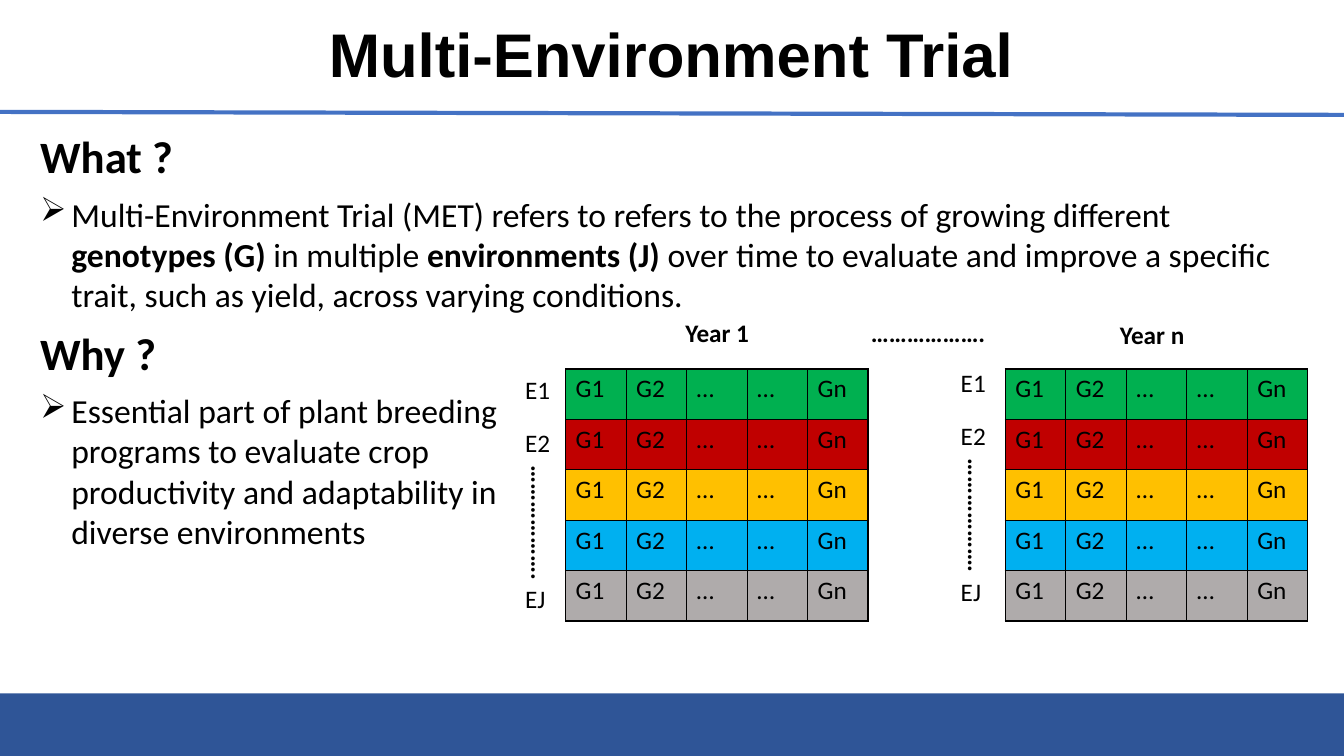
from dataclasses import dataclass

from lxml.etree import SubElement
from pptx import Presentation
from pptx.dml.color import RGBColor
from pptx.enum.shapes import MSO_CONNECTOR, MSO_SHAPE
from pptx.enum.text import MSO_ANCHOR, PP_ALIGN
from pptx.oxml import parse_xml
from pptx.oxml.ns import nsdecls, qn
from pptx.util import Inches, Pt


@dataclass(frozen=True)
class Theme:
    text: RGBColor = RGBColor.from_string("000000")
    footer: RGBColor = RGBColor.from_string("2F5597")
    rule: RGBColor = RGBColor.from_string("4472C4")
    rows: tuple = ("00B050", "C00000", "FFC000", "00B0F0", "AFABAB")
    title_font: str = "Arial"
    body_font: str = "Calibri"
    title_size: int = 44
    heading_size: int = 32
    body_size: int = 24
    label_size: int = 18


theme = Theme()
presentation = Presentation()
presentation.slide_width = Inches(13.33)
presentation.slide_height = Inches(7.5)
slide = presentation.slides.add_slide(presentation.slide_layouts[6])


def style(paragraph, size, bold=False, font=theme.body_font):
    paragraph.font.name = font
    paragraph.font.size = Pt(size)
    paragraph.font.bold = bold
    paragraph.font.color.rgb = theme.text


def add_text(text, left, top, width, height, size, bold=False, wrap=False):
    """Add a text box with one paragraph and return the box and the paragraph."""
    box = slide.shapes.add_textbox(Inches(left), Inches(top), Inches(width), Inches(height))
    box.text_frame.word_wrap = wrap
    paragraph = box.text_frame.paragraphs[0]
    paragraph.text = text
    style(paragraph, size, bold)
    return box, paragraph


# Frame of the slide
footer = slide.shapes.add_shape(
    MSO_SHAPE.RECTANGLE, Inches(0), Inches(6.88), Inches(13.33), Inches(0.62))
footer.shadow.inherit = False
footer.fill.solid()
footer.fill.fore_color.rgb = theme.footer
footer.line.fill.background()

rule = slide.shapes.add_connector(
    MSO_CONNECTOR.STRAIGHT, Inches(0), Inches(1.11), Inches(13.33), Inches(1.14))
rule.line.color.rgb = theme.rule
rule.line.width = Pt(3)
SubElement(rule._element.spPr, qn("a:effectLst"))

title, paragraph = add_text(
    "Multi-Environment Trial", 1.26, 0.19, 10.8, 0.76, theme.title_size, True, True)
title.text_frame.vertical_anchor = MSO_ANCHOR.MIDDLE
paragraph.alignment = PP_ALIGN.CENTER
paragraph.line_spacing = 0.9
paragraph.font.name = theme.title_font

# Headings, each followed by one bullet made of (text, bold) runs
sections = [
    ("What ?", 1.23, 1.53, 12.42, 1.31, [
        ("Multi-Environment Trial (MET) refers to refers to the process of growing different ", False),
        ("genotypes (G)", True),
        (" in multiple ", False),
        ("environments (J)", True),
        (" over time to evaluate and improve a specific trait, such as yield, "
         "across varying conditions.", False),
    ]),
    ("Why ?", 3.18, 1.36, 5.6, 1.72, [
        ("Essential part of plant breeding programs to evaluate crop productivity "
         "and adaptability in diverse environments", False),
    ]),
]
for heading, top, heading_width, width, height, runs in sections:
    add_text(heading, 0.3, top, heading_width, 0.64, theme.heading_size, True)
    box, paragraph = add_text("", 0.3, top + 0.64, width, height, theme.body_size, wrap=True)
    for text, bold in runs:
        run = paragraph.add_run()
        run.text = text
        run.font.bold = bold
    properties = paragraph._p.get_or_add_pPr()
    properties.set("marL", str(Inches(0.31)))
    properties.set("indent", str(-Inches(0.31)))
    properties.insert(0, parse_xml(f'<a:buChar {nsdecls("a")} char="➢"/>'))

# One genotype table per year, with its environment labels on the left
dots = "………………."
genotypes = ["G1", "G2", "…", "…", "Gn"]
years = [
    ("Year 1", 6.7, 3.1, 5.61, 5.11, 3.66, 4.7),
    ("Year n", 11.01, 3.12, 9.97, 9.43, 3.59, 9.03),
]
for year, year_left, year_top, table_left, label_left, label_top, dots_left in years:
    add_text(year, year_left, year_top, 0.85, 0.4, theme.label_size, True)
    for label, offset, width in (("E1", 0, 0.45), ("E2", 0.53, 0.45), ("EJ", 2.08, 0.41)):
        add_text(label, label_left, label_top + offset, width, 0.4, theme.label_size)
    box, paragraph = add_text(dots, dots_left, label_top + 1.33, 1.34, 0.4, theme.label_size, True)
    box.rotation = 90

    table = slide.shapes.add_table(
        len(theme.rows), len(genotypes),
        Inches(table_left), Inches(3.66), Inches(3), Inches(2.5)).table
    for row, color in enumerate(theme.rows):
        for column, genotype in enumerate(genotypes):
            cell = table.cell(row, column)
            cell.text = genotype
            style(cell.text_frame.paragraphs[0], theme.label_size)
            for side in ("lnL", "lnR", "lnT", "lnB"):
                cell._tc.get_or_add_tcPr().append(parse_xml(
                    f'<a:{side} {nsdecls("a")} w="{Pt(1)}"><a:solidFill>'
                    f'<a:srgbClr val="{theme.text}"/></a:solidFill></a:{side}>'))
            cell.fill.solid()
            cell.fill.fore_color.rgb = RGBColor.from_string(color)

add_text(dots, 8.54, 3.1, 1.34, 0.4, theme.label_size, True)

presentation.save("out.pptx")
